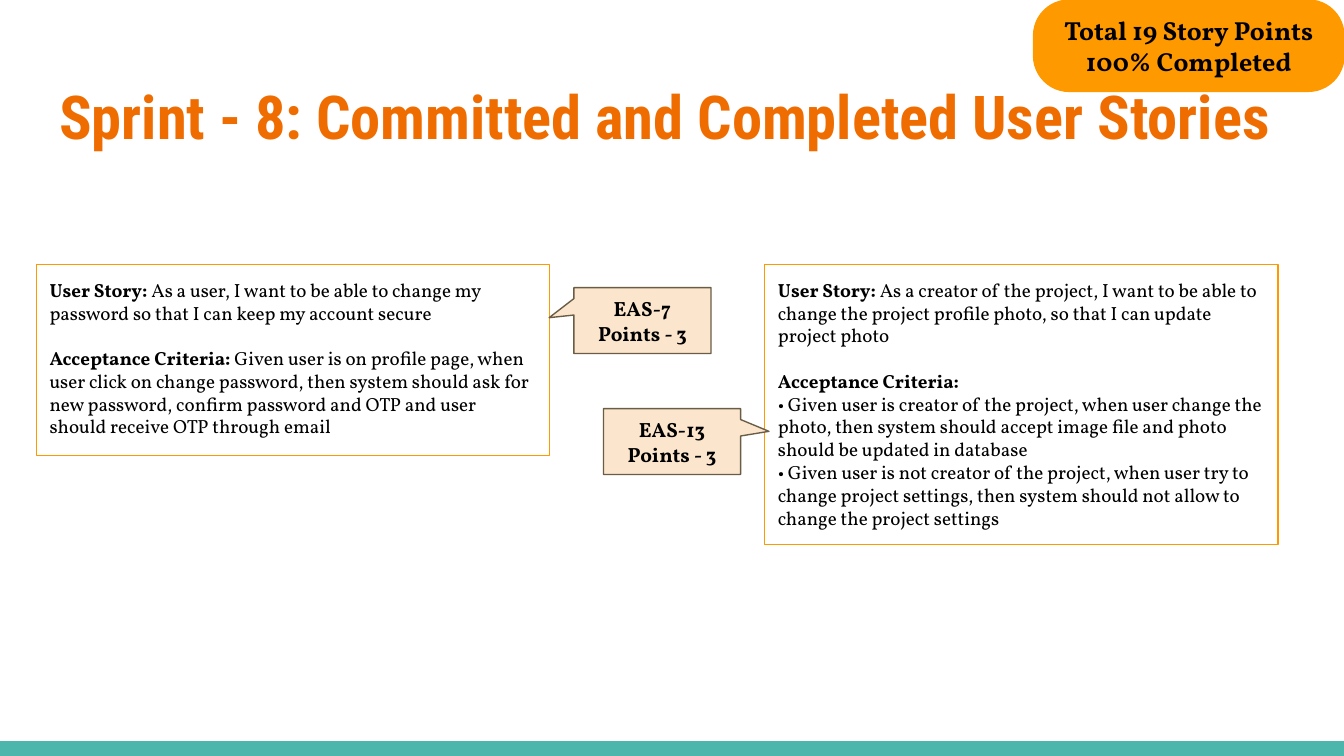
"""Build the Sprint 8 slide of committed and completed user stories."""
from dataclasses import dataclass

from pptx import Presentation
from pptx import util as u
from pptx.dml.color import RGBColor
from pptx.enum import shapes, text


@dataclass(frozen=True)
class Theme:
    heading_font: str = "Roboto Condensed"
    body_font: str = "Vollkorn"
    heading: str = "EF6C00"
    ink: str = "000000"
    accent: str = "FF9900"
    callout: str = "FCE5CD"
    callout_line: str = "695D46"
    footer: str = "4DB6AC"
    title_size: float = 32.4
    badge_size: float = 14
    callout_size: float = 11
    story_size: float = 10.2
    line_width: float = 0.75
    inset: float = 0.1
    criteria_gap: float = 12


THEME = Theme()
SLIDE_WIDTH = 10
SLIDE_HEIGHT = SLIDE_WIDTH * 9 / 16
FOOTER_HEIGHT = 0.11
CARD_TOP, CARD_WIDTH = 1.97, 3.82
CALLOUT_SIZE = (1.02, 0.49)

TITLE = "Sprint - 8: Committed and Completed User Stories"
BADGE = ["Total 19 Story Points", "100% Completed"]
STORIES = [
    {
        "card": (5.69, 2.08),
        "callout": (4.27, 2.14),
        "pointer": (-0.681, -0.043, 0),
        "label": ["EAS-7", "Points - 3"],
        "story": "As a creator of the project, I want to be able to change the project "
                 "profile photo, so that I can update project photo",
        "criteria": [
            ("Acceptance Criteria:", ""),
            ("", "• Given user is creator of the project, when user change the photo, then "
                 "system should accept image file and photo should be updated in database"),
            ("", "• Given user is not creator of the project, when user try to change project "
                 "settings, then system should not allow to change the project settings"),
        ],
    },
    {
        "card": (0.27, 1.42),
        "callout": (4.49, 3.04),
        "pointer": (0.707, -0.154, 0),
        "label": ["EAS-13", "Points - 3"],
        "story": "As a user, I want to be able to change my password so that I can keep "
                 "my account secure",
        "criteria": [
            ("Acceptance Criteria: ",
             "Given user is on profile page, when user click on change password, then system "
             "should ask for new password, confirm password and OTP and user should receive "
             "OTP through email"),
        ],
    },
]


def add_run(paragraph, words, size, bold=True, font=THEME.body_font, color=THEME.ink):
    run = paragraph.add_run()
    run.text = words
    run.font.name, run.font.size, run.font.bold = font, u.Pt(size), bold
    run.font.color.rgb = RGBColor.from_string(color)


def prepare_frame(shape, anchor):
    frame = shape.text_frame
    frame.word_wrap = True
    frame.auto_size = text.MSO_AUTO_SIZE.NONE
    frame.vertical_anchor = anchor
    frame.margin_left = frame.margin_right = u.Inches(THEME.inset)
    frame.margin_top = frame.margin_bottom = u.Inches(THEME.inset)
    return frame


def add_box(slide, kind, box, fill=None, line=None, adjustments=()):
    shape = slide.shapes.add_shape(kind, *map(u.Inches, box))
    shape.shadow.inherit = False
    for index, value in enumerate(adjustments):
        shape.adjustments[index] = value
    if fill:
        shape.fill.solid()
        shape.fill.fore_color.rgb = RGBColor.from_string(fill)
    else:
        shape.fill.background()
    if line:
        shape.line.color.rgb = RGBColor.from_string(line)
        shape.line.width = u.Pt(THEME.line_width)
    else:
        shape.line.fill.background()
    return shape


def write_paragraphs(shape, paragraphs, size, anchor, alignment):
    frame = prepare_frame(shape, anchor)
    for index, (strong, plain) in enumerate(paragraphs):
        paragraph = frame.paragraphs[0] if index == 0 else frame.add_paragraph()
        paragraph.alignment = alignment
        if index and strong.startswith("Acceptance"):
            paragraph.space_before = u.Pt(THEME.criteria_gap)
        for words, bold in ((strong, True), (plain, False)):
            if words:
                add_run(paragraph, words, size, bold)


def write_label(shape, lines, size):
    write_paragraphs(shape, [(line, "") for line in lines], size,
                     text.MSO_ANCHOR.MIDDLE, text.PP_ALIGN.CENTER)


def add_title(slide):
    title = slide.shapes.title
    title.left, title.top, title.width, title.height = map(u.Inches, (0.34, 0.49, 9.32, 0.77))
    paragraph = prepare_frame(title, text.MSO_ANCHOR.TOP).paragraphs[0]
    paragraph.alignment = text.PP_ALIGN.LEFT
    add_run(paragraph, TITLE, THEME.title_size, font=THEME.heading_font, color=THEME.heading)


def add_card(slide, story):
    left, height = story["card"]
    card = add_box(slide, shapes.MSO_SHAPE.RECTANGLE, (left, CARD_TOP, CARD_WIDTH, height),
                   line=THEME.accent)
    write_paragraphs(card, [("User Story: ", story["story"]), *story["criteria"]],
                     THEME.story_size, text.MSO_ANCHOR.TOP, text.PP_ALIGN.LEFT)


def add_callout(slide, story):
    callout = add_box(slide, shapes.MSO_SHAPE.ROUNDED_RECTANGULAR_CALLOUT,
                      (*story["callout"], *CALLOUT_SIZE), THEME.callout,
                      THEME.callout_line, story["pointer"])
    write_label(callout, story["label"], THEME.callout_size)


def main():
    presentation = Presentation()
    presentation.slide_width = u.Inches(SLIDE_WIDTH)
    presentation.slide_height = u.Inches(SLIDE_HEIGHT)
    slide = presentation.slides.add_slide(presentation.slide_layouts[5])
    add_title(slide)
    add_box(slide, shapes.MSO_SHAPE.RECTANGLE,
            (0, SLIDE_HEIGHT - FOOTER_HEIGHT, SLIDE_WIDTH, FOOTER_HEIGHT), THEME.footer)
    badge = add_box(slide, shapes.MSO_SHAPE.ROUNDED_RECTANGLE, (7.69, 0, 2.31, 0.68),
                    THEME.accent, THEME.accent, [0.391])
    write_label(badge, BADGE, THEME.badge_size)
    for story in STORIES:
        add_card(slide, story)
    for story in STORIES:
        add_callout(slide, story)
    presentation.save("out.pptx")


if __name__ == "__main__":
    main()
